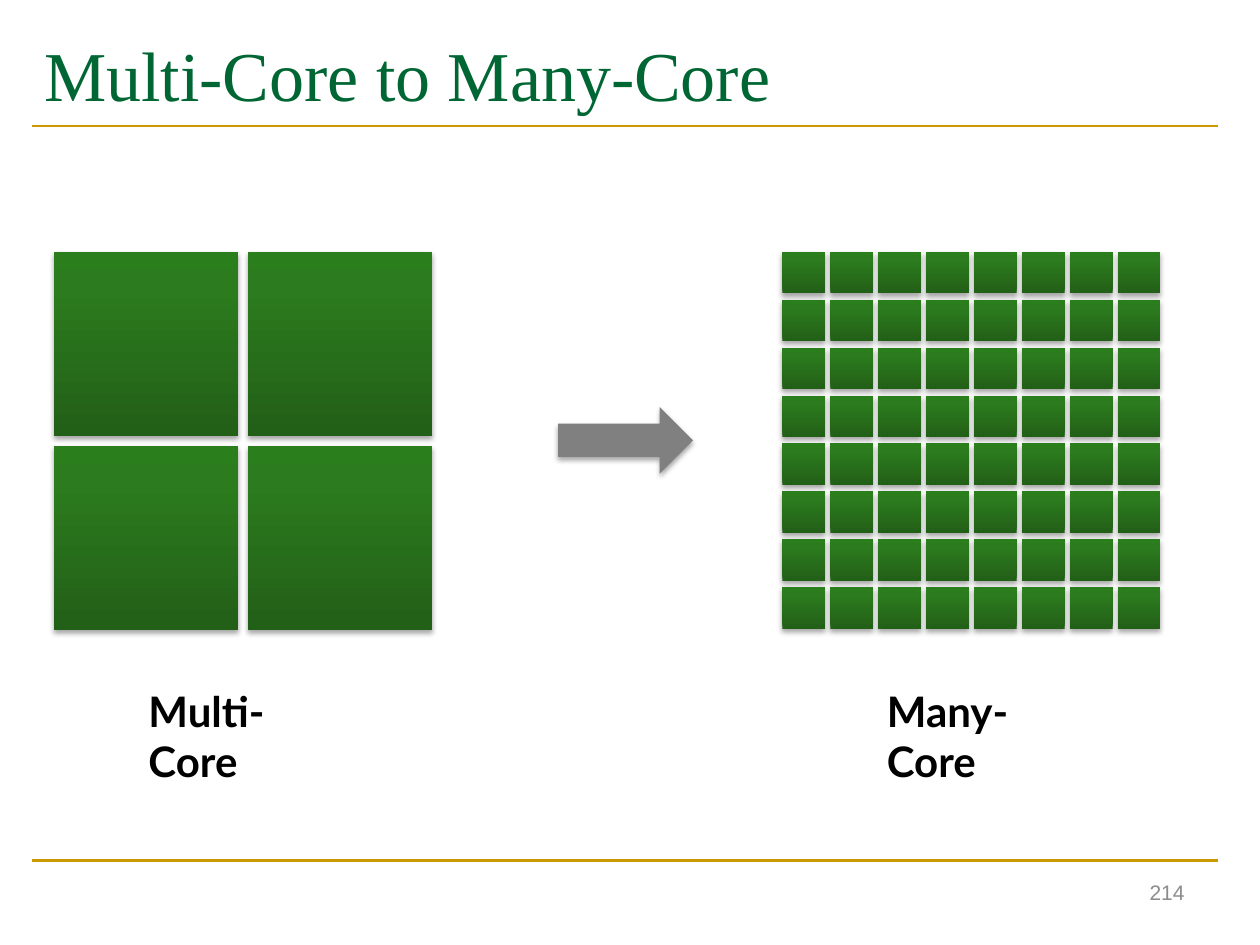
"""Build the Multi-Core to Many-Core slide."""
from pptx import Presentation
from pptx.dml.color import RGBColor
from pptx.enum.shapes import MSO_CONNECTOR, MSO_SHAPE
from pptx.enum.text import MSO_ANCHOR, PP_ALIGN
from pptx.oxml import parse_xml
from pptx.oxml.ns import nsdecls
from pptx.util import Inches, Pt

RECT, ARROW = MSO_SHAPE.RECTANGLE, MSO_SHAPE.RIGHT_ARROW
STRAIGHT = MSO_CONNECTOR.STRAIGHT
TOP, MIDDLE = MSO_ANCHOR.TOP, MSO_ANCHOR.MIDDLE
LEFT, RIGHT = PP_ALIGN.LEFT, PP_ALIGN.RIGHT

COLORS = {
    "title": "006633", "rule": "CC9900", "label": "000000", "number": "8C8C8C",
    "arrow": "808080", "shadow": "000000",
    "core_dark": "225F17", "core_mid": "2C7B1E", "core_light": "2B7E1C",
}
GRADIENT = ((0, "core_dark"), (80, "core_mid"), (100, "core_light"))


def style_shape(sp, color=None):
    """Give a shape a soft shadow and a solid or core gradient fill."""
    sp.line.fill.background()
    sp.shadow.inherit = False
    spPr = sp._element.spPr
    spPr[-1].append(parse_xml(
        f'<a:outerShdw {nsdecls("a")} blurRad="{Pt(3.1)}" dist="{Pt(1.8)}" dir="5400000" '
        f'rotWithShape="0"><a:srgbClr val="{COLORS["shadow"]}"><a:alpha val="35000"/>'
        '</a:srgbClr></a:outerShdw>'))
    if color:
        sp.fill.solid()
        sp.fill.fore_color.rgb = RGBColor.from_string(COLORS[color])
        return
    stops = "".join(f'<a:gs pos="{pos * 1000}"><a:srgbClr val="{COLORS[name]}"/></a:gs>'
                    for pos, name in GRADIENT)
    spPr.insert(2, parse_xml(
        f'<a:gradFill {nsdecls("a")} rotWithShape="1"><a:gsLst>{stops}</a:gsLst>'
        '<a:lin ang="16200000" scaled="0"/></a:gradFill>'))


def write_text(sp, text, color, anchor, align, font):
    """Fill a text shape with one formatted paragraph."""
    tf = sp.text_frame
    tf.word_wrap = True
    tf.vertical_anchor = anchor
    p = tf.paragraphs[0]
    p.alignment = align
    r = p.add_run()
    r.text = text
    r.font.color.rgb = RGBColor.from_string(COLORS[color])
    for name, value in font.items():
        setattr(r.font, name, value)


prs = Presentation()
prs.slide_width, prs.slide_height = Inches(10), Inches(7.5)
s = prs.slides.add_slide(prs.slide_layouts[5])

for y in (6.83, 1):
    line = s.shapes.add_connector(STRAIGHT, Inches(0.25), Inches(y), Inches(9.67), Inches(y))
    line.line.color.rgb = RGBColor.from_string(COLORS["rule"])
    line.line.width = Pt(1.5)
    line._element.spPr.append(parse_xml(f'<a:effectLst {nsdecls("a")}/>'))

title = s.shapes.title
title.left, title.top, title.width, title.height = map(Inches, (0.25, 0.17, 9.42, 0.83))
write_text(title, "Multi-Core to Many-Core", "title", MIDDLE, LEFT,
           {"name": "Times New Roman", "size": Pt(40)})

for left, count, pitch, width, height in ((6.21, 8, 0.38, 0.34, 0.33),
                                          (0.43, 2, 1.54, 1.46, 1.46)):
    chip = s.shapes.add_group_shape()
    for row in range(count):
        for col in range(count):
            core = chip.shapes.add_shape(RECT, Inches(left + col * pitch),
                                         Inches(2 + row * pitch), Inches(width), Inches(height))
            style_shape(core)

for text, left, width in (("Multi-Core", 1.08, 1.71), ("Many-Core", 6.94, 1.75)):
    label = s.shapes.add_textbox(Inches(left), Inches(5.39), Inches(width), Inches(0.5))
    write_text(label, text, "label", TOP, LEFT, {"name": "Lato", "size": Pt(24), "bold": True})

arrow = s.shapes.add_shape(ARROW, Inches(4.43), Inches(3.23), Inches(1.07), Inches(0.53))
style_shape(arrow, "arrow")

number = s.shapes.add_textbox(Inches(7.17), Inches(6.83), Inches(2.33), Inches(0.5))
write_text(number, "214", "number", MIDDLE, RIGHT, {"name": "Arial", "size": Pt(12)})

prs.save("out.pptx")
